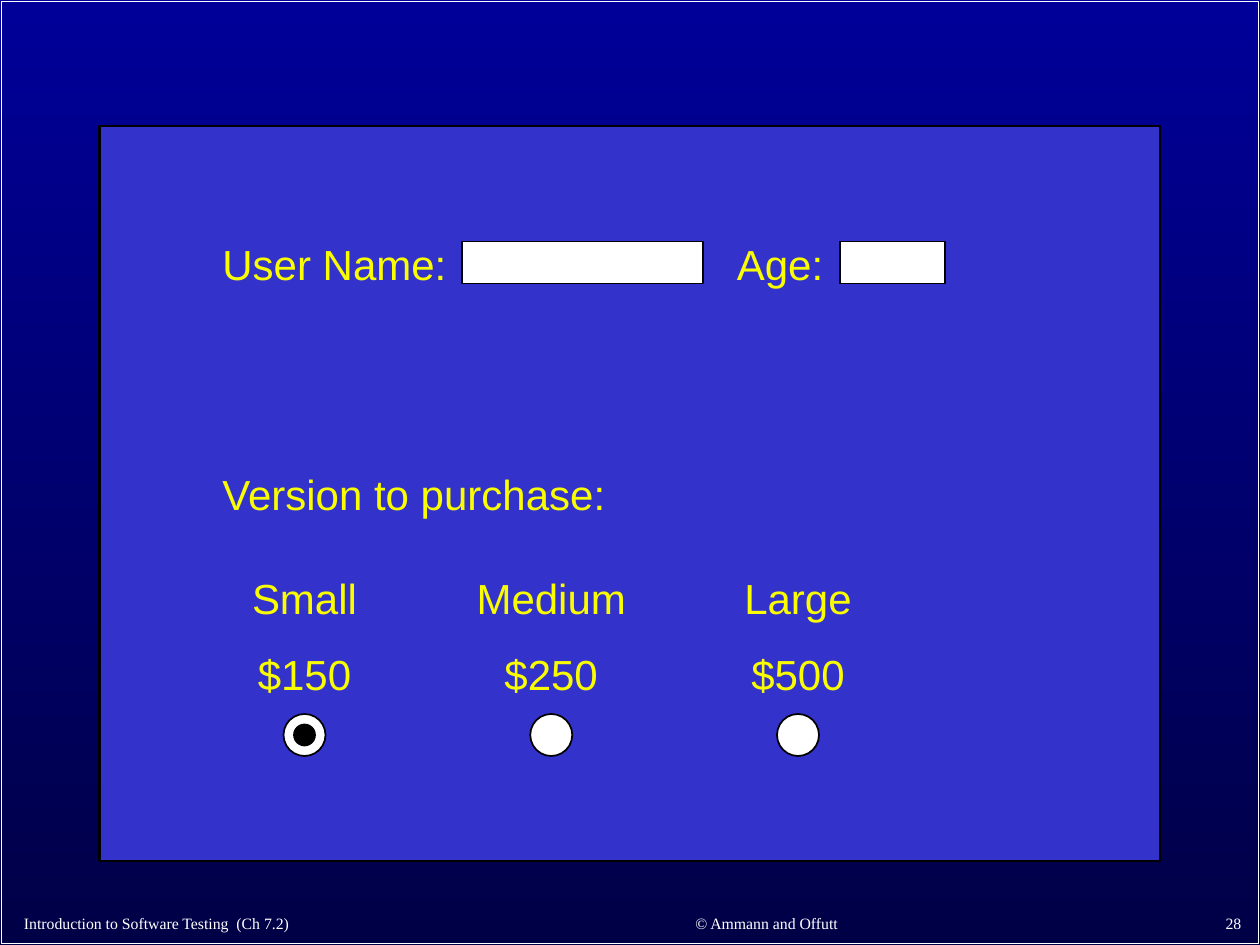
from pptx import Presentation
from pptx import util as u
from pptx.dml.color import RGBColor
from pptx.enum import shapes, text

NAVY_TOP = RGBColor(0x00, 0x00, 0x99)
NAVY_BOTTOM = RGBColor(0x00, 0x00, 0x47)
PANEL = RGBColor(0x33, 0x33, 0xCC)
YELLOW = RGBColor(0xFA, 0xFD, 0x00)
WHITE = RGBColor(0xFF, 0xFF, 0xFF)
BLACK = RGBColor(0x00, 0x00, 0x00)

RECT = shapes.MSO_SHAPE.RECTANGLE
OVAL = shapes.MSO_SHAPE.OVAL
LEFT, CENTER, RIGHT = text.PP_ALIGN.LEFT, text.PP_ALIGN.CENTER, text.PP_ALIGN.RIGHT
TOP, BOTTOM = text.MSO_ANCHOR.TOP, text.MSO_ANCHOR.BOTTOM

prs = Presentation()
prs.slide_width, prs.slide_height = u.Inches(10), u.Inches(7.5)
CELL = prs.slide_width / 120  # grid of 120 columns by 90 rows
s = prs.slides.add_slide(prs.slide_layouts[6])


def add_shape(kind, *box, fill=WHITE, line=BLACK, width=1):
    """Draw a preset shape; box is column, row, columns wide, rows high."""
    sp = s.shapes.add_shape(kind, *(round(n * CELL) for n in box))
    sp.shadow.inherit = False
    if fill is None:
        sp.fill.background()
    else:
        sp.fill.solid()
        sp.fill.fore_color.rgb = fill
    sp.line.color.rgb = line
    sp.line.width = u.Pt(width)
    return sp


def add_text(lines, *box, size=24, font="Arial", color=YELLOW, align=LEFT, anchor=TOP):
    """Write one paragraph per line; box is column, row, columns wide, rows high."""
    tf = s.shapes.add_textbox(*(round(n * CELL) for n in box)).text_frame
    tf.word_wrap = True
    tf.vertical_anchor = anchor
    for i, line in enumerate(lines):
        p = tf.add_paragraph() if i else tf.paragraphs[0]
        p.alignment = align
        if i:
            p.space_before = u.Pt(15)
        r = p.add_run()
        r.text = line
        r.font.size = u.Pt(size)
        r.font.name = font
        r.font.color.rgb = color


# Background, slide border and form panel
bg = s.background.fill
bg.gradient()
bg.gradient_angle = 270
for stop, color in zip(bg.gradient_stops, (NAVY_TOP, NAVY_BOTTOM)):
    stop.color.rgb = color
for stop, position in zip(bg.gradient_stops, (0, 1)):
    stop.position = position
add_shape(RECT, 0.15, 0.15, 119.7, 89.7, fill=None, line=WHITE)
add_shape(RECT, 9.5, 12, 101, 70, fill=PANEL, width=1.5)

# Labels and input fields
for label, col, row, cols in (
    ("User Name:", 20, 22.1, 24),
    ("Age:", 69, 22.1, 12),
    ("Version to purchase:", 20, 44, 40),
):
    add_text([label], col, row, cols, 6)
for col, cols in ((44, 23), (80, 10)):
    add_shape(RECT, col, 23, cols, 4)

# Versions, each centred above its radio button
for i, (version, price, cols) in enumerate(
    (("Small", "$150", 14), ("Medium", "$250", 17), ("Large", "$500", 14))
):
    center = 29 + 23.5 * i
    add_text([version, price], center - cols / 2, 53.9, cols, 13.3, align=CENTER)
    button = add_shape(OVAL, center - 2, 68, 4, 4)
    if i == 0:
        dot = add_shape(OVAL, center - 1, 69, 2, 2, fill=BLACK)
        s.shapes.add_group_shape([button, dot])

# Footer
for words, col, cols, align in (
    ("Introduction to Software Testing  (Ch 7.2)", 1.1, 50.9, LEFT),
    ("© Ammann and Offutt", 54, 38, CENTER),
    ("28", 94.4, 25, RIGHT),
):
    add_text([words], col, 85.7, cols, 3.7, size=9, font="Times New Roman",
             color=WHITE, align=align, anchor=BOTTOM)

prs.save("out.pptx")
